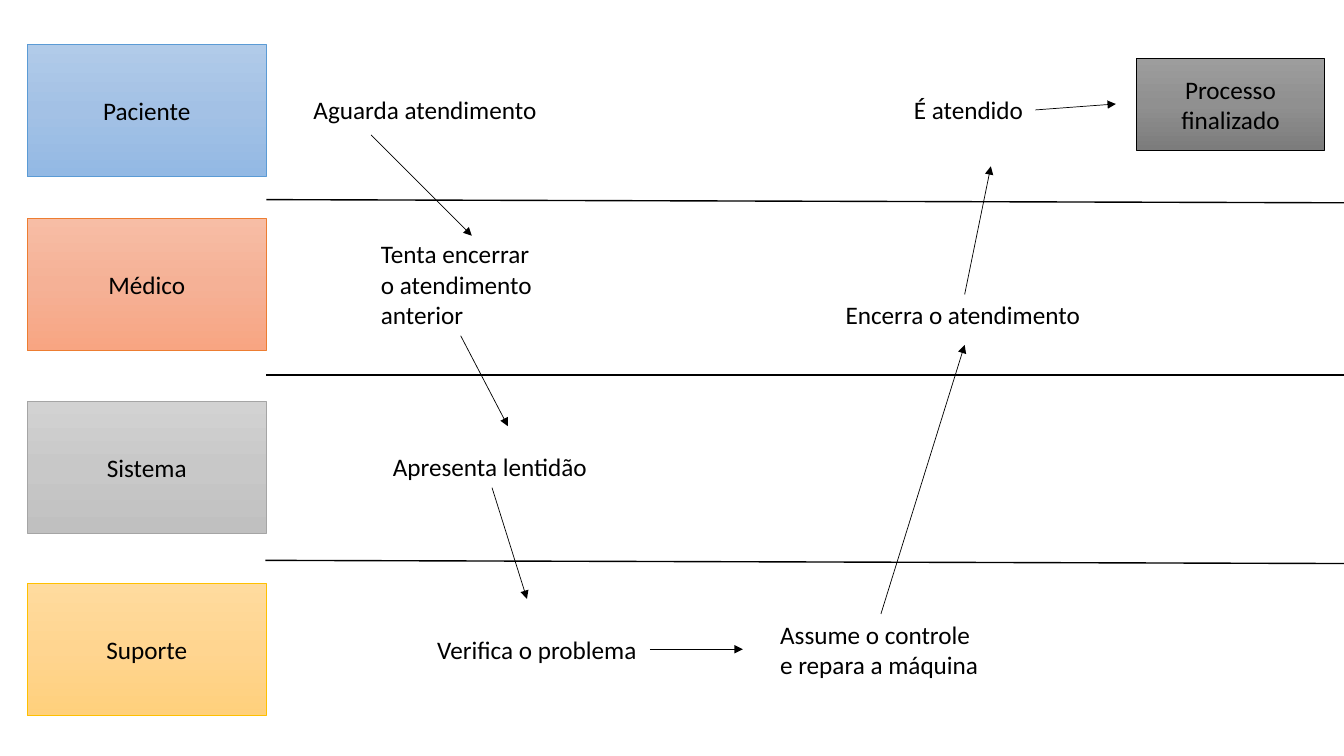
from copy import deepcopy

from lxml import etree
from pptx import Presentation
from pptx.dml.color import RGBColor
from pptx.enum.shapes import MSO_CONNECTOR, MSO_SHAPE
from pptx.enum.text import MSO_ANCHOR, MSO_AUTO_SIZE, PP_ALIGN
from pptx.oxml.ns import qn
from pptx.util import Cm, Pt

RECTANGLE = MSO_SHAPE.RECTANGLE
STRAIGHT = MSO_CONNECTOR.STRAIGHT
MIDDLE = MSO_ANCHOR.MIDDLE
GROW = MSO_AUTO_SIZE.SHAPE_TO_FIT_TEXT
LEFT = PP_ALIGN.LEFT
CENTER = PP_ALIGN.CENTER

COLORS = {
    "black": "000000",
    "Paciente": ("B1CBE9", "A3C1E5", "93B9E4", "5B9BD5"),
    "Médico": ("F7BDA5", "F5B196", "F8A582", "ED7D31"),
    "Sistema": ("D2D2D2", "C8C8C8", "C0C0C0", "A5A5A5"),
    "Suporte": ("FFDB9E", "FFD590", "FFD07C", "FFC000"),
    "final": ("9D9D9D", "909090", "7C7C7C", "000000"),
}

LANES = [("Paciente", 1.12), ("Médico", 5.51), ("Sistema", 10.11), ("Suporte", 14.71)]

DIVIDERS = [
    (6.71, 5.03, 33.87, 5.11),
    (6.71, 9.45, 33.87, 9.45),
    (6.69, 14.12, 33.87, 14.2),
]

STEPS = [
    (["Aguarda atendimento"], 7.65, 2.26, 6.2),
    (["Tenta encerrar", "o atendimento", "anterior"], 9.35, 5.89, 4.52),
    (["Apresenta lentidão"], 9.65, 11.25, 5.46),
    (["Verifica o problema"], 10.77, 15.85, 5.59),
    (["Assume o controle", "e repara a máquina"], 19.41, 15.47, 5.56),
    (["Encerra o atendimento"], 21.06, 7.42, 6.5),
    (["É atendido"], 22.78, 2.26, 3.3),
]

ARROWS = [
    (9.35, 3.4, 11.89, 5.94),
    (11.61, 8.46, 12.8, 10.74),
    (12.4, 12.29, 13.28, 15.09),
    (16.38, 16.36, 18.72, 16.36),
    (22.2, 15.47, 24.31, 8.69),
    (24.31, 7.42, 24.97, 4.19),
    (26.09, 2.77, 28.12, 2.62),
]


def rgb(value):
    return RGBColor.from_string(value)


def write_lines(frame, lines, alignment):
    for index, line in enumerate(lines):
        paragraph = frame.paragraphs[0] if index == 0 else frame.add_paragraph()
        paragraph.alignment = alignment
        run = paragraph.add_run()
        run.text = line
        run.font.name = "Calibri"
        run.font.size = Pt(18)
        run.font.color.rgb = rgb(COLORS["black"])


def fill_gradient(shape, shades):
    shape.fill.gradient()
    shape.fill.gradient_angle = 270
    stop_list = next(shape.element.spPr.iter(qn("a:gsLst")))
    stop_list.insert(1, deepcopy(stop_list[0]))
    for stop, shade, position in zip(shape.fill.gradient_stops, shades, (0, 0.5, 1)):
        stop.color.rgb = rgb(shade)
        stop.position = position


def add_box(slide, lines, palette, left, top, width, height):
    box = slide.shapes.add_shape(RECTANGLE, Cm(left), Cm(top), Cm(width), Cm(height))
    *shades, border = palette
    fill_gradient(box, shades)
    box.line.color.rgb = rgb(border)
    box.line.width = Pt(0.5)
    box.shadow.inherit = False
    box.text_frame.vertical_anchor = MIDDLE
    write_lines(box.text_frame, lines, CENTER)


def add_step(slide, lines, left, top, width):
    height = 0.25 + 0.77 * len(lines)
    step = slide.shapes.add_textbox(Cm(left), Cm(top), Cm(width), Cm(height))
    step.text_frame.word_wrap = False
    step.text_frame.auto_size = GROW
    write_lines(step.text_frame, lines, LEFT)


def add_line(slide, ends, weight, arrow=False):
    line = slide.shapes.add_connector(STRAIGHT, *(Cm(end) for end in ends))
    line.line.color.rgb = rgb(COLORS["black"])
    line.line.width = Pt(weight)
    properties = line.element.spPr
    if arrow:
        etree.SubElement(properties.find(qn("a:ln")), qn("a:tailEnd"), type="triangle")
    etree.SubElement(properties, qn("a:effectLst"))


def main():
    presentation = Presentation()
    presentation.slide_width = Cm(33.87)
    presentation.slide_height = Cm(19.05)
    slide = presentation.slides.add_slide(presentation.slide_layouts[6])
    for role, top in LANES:
        add_box(slide, [role], COLORS[role], 0.69, top, 6.02, 3.33)
    for ends in DIVIDERS:
        add_line(slide, ends, 1)
    for step in STEPS:
        add_step(slide, *step)
    add_box(slide, ["Processo", "finalizado"], COLORS["final"], 28.65, 1.47, 4.72, 2.31)
    for ends in ARROWS:
        add_line(slide, ends, 0.5, arrow=True)
    presentation.save("out.pptx")


if __name__ == "__main__":
    main()
